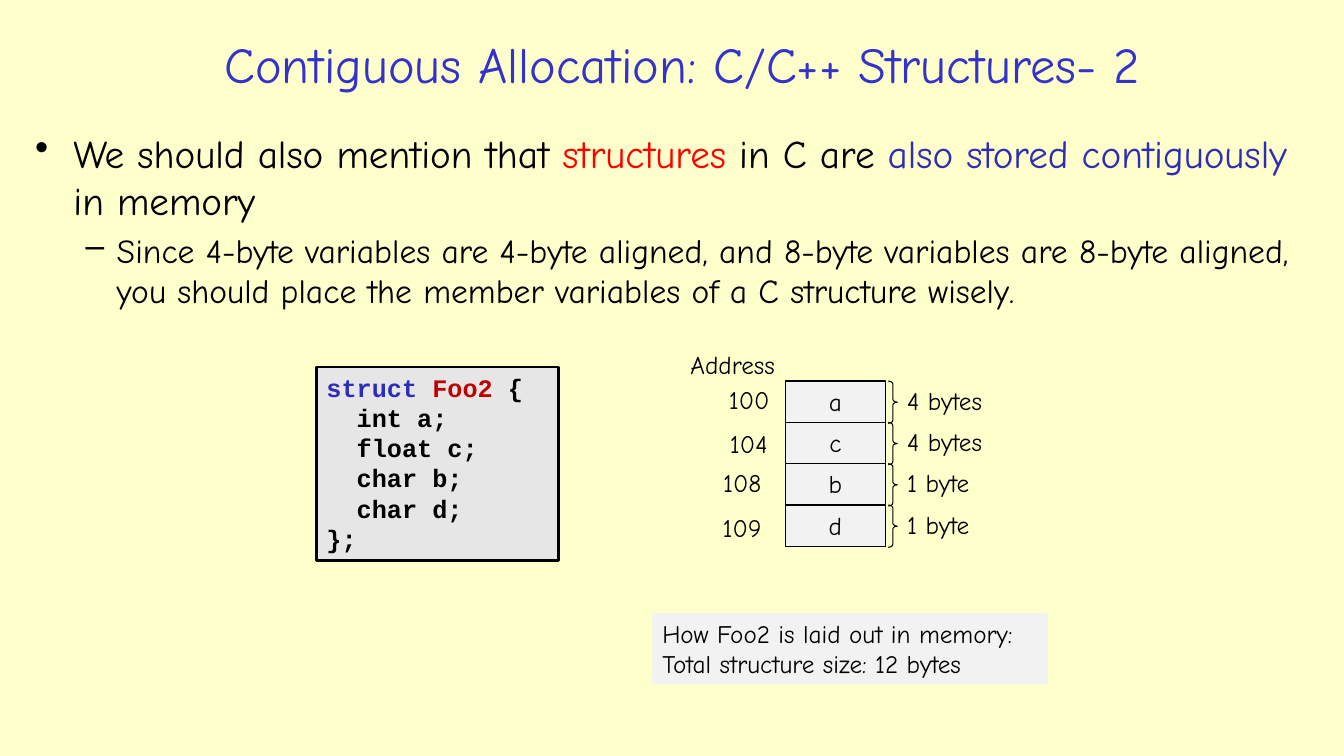
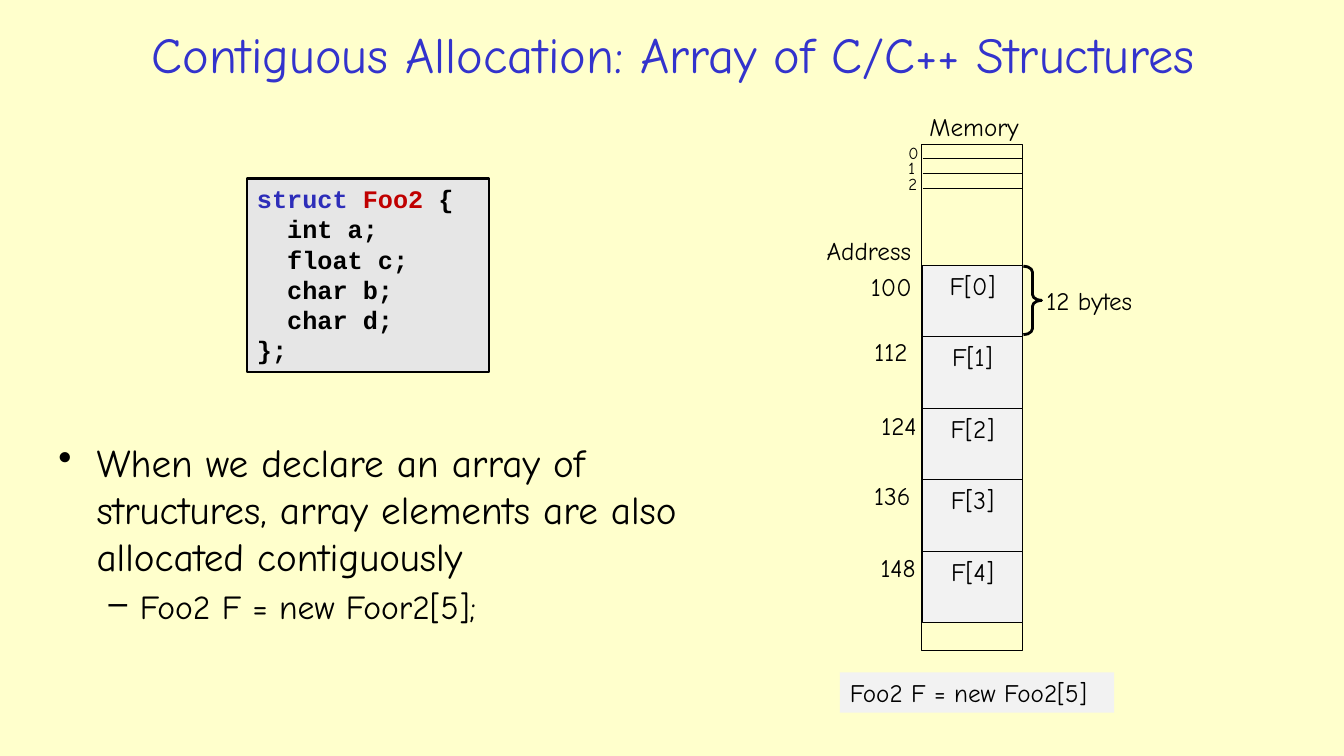
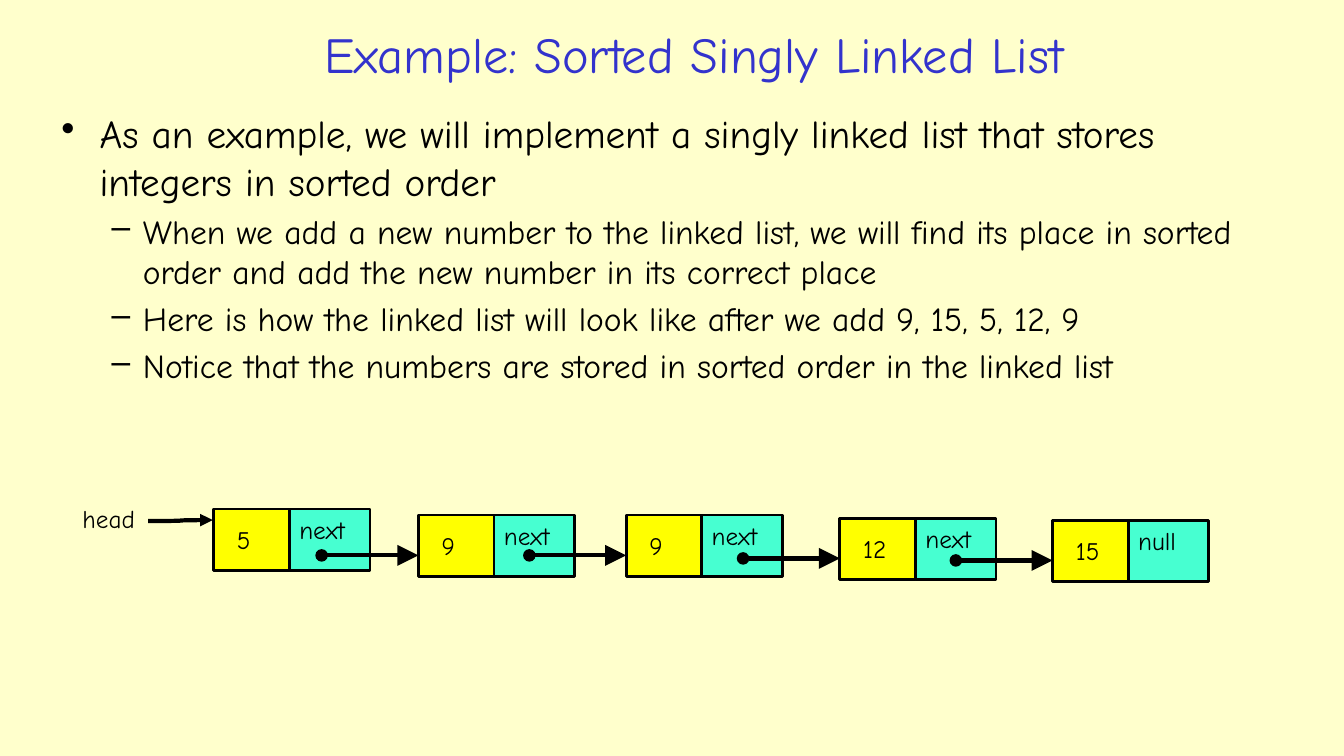
from lxml import etree
from pptx import Presentation
from pptx import util as u
from pptx.dml.color import RGBColor
from pptx.enum import shapes, text
from pptx.oxml import ns

COLORS = {
    "page": "FFFFCC", "title": "3333CC", "ink": "000000", "red": "FF0000",
    "blue": "2D2DB9", "crimson": "C00000", "code": "E6E6E6",
    "cell": "F2F2F2", "value": "FFFF00", "link": "47FFD1",
}
FOO2 = [
    [("struct ", "blue"), ("Foo2 ", "crimson"), ("{", "ink")],
    "  int a;", "  float c;", "  char b;", "  char d;", "};",
]
LEFT, CENTER, RIGHT = text.PP_ALIGN.LEFT, text.PP_ALIGN.CENTER, text.PP_ALIGN.RIGHT


def rgb(name):
    return RGBColor.from_string(COLORS[name])


class Deck:
    """The shared style and the slide being drawn."""
    body_font, code_font = "Comic Neue", "Courier New"
    # size, left margin, hanging indent and bullet of each outline level
    levels = [(28, 0.38, 0.38, "•"), (24, 0.81, 0.31, "–")]

    def __init__(self):
        self.prs = Presentation()
        self.prs.slide_width = u.Inches(13.33)
        self.prs.slide_height = u.Inches(7.5)
        self.slide = None

    def new_slide(self, title, left, top, width):
        self.slide = self.prs.slides.add_slide(self.prs.slide_layouts[6])
        self.slide.background.fill.solid()
        self.slide.background.fill.fore_color.rgb = rgb("page")
        frame = self.frame(left, top, width, 0.76)
        frame.vertical_anchor = text.MSO_ANCHOR.MIDDLE
        self.fill_text(frame.paragraphs[0], title, 36, "title", CENTER)

    def frame(self, left, top, width, height):
        box = self.slide.shapes.add_textbox(*map(u.Inches, (left, top, width, height)))
        box.text_frame.word_wrap = True
        return box.text_frame

    def fill_text(self, paragraph, content, size=18, color="ink", align=LEFT,
                  font=None, bold=False):
        """Content is a string or a list of (words, colour) pairs."""
        parts = [(content, color)] if isinstance(content, str) else content
        paragraph.alignment = align
        for words, part_color in parts:
            run = paragraph.add_run()
            run.text = words
            run.font.name = font or self.body_font
            run.font.size = u.Pt(size)
            run.font.bold = bold
            run.font.color.rgb = rgb(part_color)

    def lines(self, frame, rows, **style):
        for i, row in enumerate(rows):
            paragraph = frame.add_paragraph() if i else frame.paragraphs[0]
            self.fill_text(paragraph, row, **style)

    def label(self, words, left, top, width=1.2, size=18, align=LEFT):
        frame = self.frame(left, top, width, 0.4)
        if align == RIGHT:
            frame.margin_left = 0
        else:
            frame.margin_right = 0
        self.fill_text(frame.paragraphs[0], words, size, align=align)

    def address(self, words, right, top):
        self.label(words, right - 0.62, top, 0.62, align=RIGHT)

    def outline(self, left, top, width, height, rows):
        """Rows are (level, content) pairs."""
        frame = self.frame(left, top, width, height)
        for i, (level, content) in enumerate(rows):
            size, margin, hang, bullet = self.levels[level]
            paragraph = frame.add_paragraph() if i else frame.paragraphs[0]
            paragraph.level = level
            if i:
                paragraph.space_before = u.Pt(0.2 * size)
            props = paragraph._p.get_or_add_pPr()
            props.set("marL", str(u.Inches(margin)))
            props.set("indent", str(-u.Inches(hang)))
            etree.SubElement(props, ns.qn("a:buChar")).set("char", bullet)
            self.fill_text(paragraph, content, size)

    def shape(self, kind, left, top, width, height, fill=None, line=None):
        shape = self.slide.shapes.add_shape(
            kind, *map(u.Inches, (left, top, width, height)))
        shape.shadow.inherit = False
        if fill:
            shape.fill.solid()
            shape.fill.fore_color.rgb = rgb(fill)
        else:
            shape.fill.background()
        if line:
            shape.line.color.rgb = rgb("ink")
            shape.line.width = u.Pt(line)
        else:
            shape.line.fill.background()
        return shape

    def box(self, left, top, width, height, rows=(), fill=None, line=None,
            inset=(0.1, 0.05), **style):
        shape = self.shape(shapes.MSO_SHAPE.RECTANGLE, left, top, width, height,
                           fill, line)
        frame = shape.text_frame
        frame.word_wrap = True
        frame.vertical_anchor = text.MSO_ANCHOR.TOP
        frame.margin_left, frame.margin_top = map(u.Inches, inset)
        self.lines(frame, rows, **style)

    def code(self, left, top):
        self.box(left, top, 2.4, 1.92, FOO2, "code", 2, font=self.code_font, bold=True)

    def cell(self, words, left, top, height):
        self.box(left, top, 0.99, height, [words], "cell", 0.75, align=CENTER)

    def brace(self, left, top, width, height, line=0.75):
        brace = self.shape(shapes.MSO_SHAPE.RIGHT_BRACE, left, top, width, height,
                           line=line)
        brace.adjustments[0] = 0.33
        brace.adjustments[1] = 0.5

    def line(self, x1, y1, x2, y2, width=0.75, kind=shapes.MSO_CONNECTOR.STRAIGHT,
             ends=()):
        """Ends are (tag, type, size) triples, headEnd first."""
        line = self.slide.shapes.add_connector(kind, *map(u.Inches, (x1, y1, x2, y2)))
        line.line.color.rgb = rgb("ink")
        line.line.width = u.Pt(width)
        for tag, end, size in ends:
            etree.SubElement(line.line._get_or_add_ln(), ns.qn("a:" + tag),
                             type=end, w=size, len=size)
        etree.SubElement(line._element.spPr, ns.qn("a:effectLst"))

    def node(self, value, pointer, left, top):
        self.box(left + 0.75, top, 0.8, 0.61, [pointer], "link", 2)
        self.box(left, top, 0.75, 0.61, [value], "value", 2, inset=(0.23, 0.15))


def structure_slide(deck):
    deck.new_slide("Contiguous Allocation: C/C++ Structures- 2", 0.54, 0.25, 12.45)
    deck.outline(0.25, 1.23, 12.96, 2.36, [
        (0, [("We should also mention that ", "ink"), ("structures", "red"),
             (" in C are ", "ink"), ("also stored contiguously", "blue"),
             (" in memory", "ink")]),
        (1, "Since 4-byte variables are 4-byte aligned, and 8-byte variables are "
            "8-byte aligned, you should place the member variables of a C "
            "structure wisely."),
    ])
    deck.code(3.14, 3.64)

    # Memory layout: member, address, address right edge and top, size
    deck.label("Address", 6.75, 3.42)
    members = [("a", "100", 7.73, 3.76, "4 bytes"), ("c", "104", 7.71, 4.2, "4 bytes"),
               ("b", "108", 7.65, 4.59, "1 byte"), ("d", "109", 7.65, 5.03, "1 byte")]
    height = 0.41
    for i, (member, address, right, address_top, size) in enumerate(members):
        top = 3.78 + i * height
        deck.cell(member, 7.79, top, height)
        deck.address(address, right, address_top)
        deck.brace(8.81, top, 0.09, 0.42)
        deck.label(size, 8.9, top - 0.01)
    deck.box(6.47, 6.08, 3.92, 0.71, ["How Foo2 is laid out in memory:",
                                      "Total structure size: 12 bytes"], "cell")


def array_slide(deck):
    deck.new_slide("Contiguous Allocation: Array of C/C++ Structures",
                   0.33, 0.15, 12.69)
    deck.outline(0.48, 4.3, 7.14, 2.58, [
        (0, "When we declare an array of structures, array elements are also "
            "allocated contiguously"),
        (1, "Foo2 F = new Foor2[5];"),
    ])
    deck.code(2.45, 1.77)

    # Memory column with its first bytes
    deck.box(9.14, 1.43, 1, 5.02, line=0.75)
    deck.label("Memory", 9.12, 1.06)
    for byte in range(3):
        top = 1.57 + byte * 0.15
        deck.line(9.15, top, 10.15, top)
        deck.label(str(byte), 8.91, top - 0.2, 0.31, 12)

    # Array elements: address, its right edge and top
    deck.label("Address", 8.1, 2.29)
    elements = [("100", 9.14, 2.64), ("112", 9.1, 3.29), ("124", 9.19, 4.02),
                ("136", 9.13, 4.72), ("148", 9.18, 5.43)]
    height = 0.71
    for i, (address, right, address_top) in enumerate(elements):
        deck.cell(f"F[{i}]", 9.15, 2.63 + i * height, height)
        deck.address(address, right, address_top)
    deck.brace(10.15, 2.64, 0.18, 0.68, 2)
    deck.label("12 bytes", 10.28, 2.78)
    deck.box(8.33, 6.67, 2.72, 0.4, ["Foo2 F = new Foo2[5]"], "cell")


def linked_list_slide(deck):
    deck.new_slide("Example: Sorted Singly Linked List", 2.39, 0.15, 8.99)
    deck.outline(0.51, 1.04, 12.33, 3.24, [
        (0, "As an example, we will implement a singly linked list that stores "
            "integers in sorted order"),
        (1, "When we add a new number to the linked list, we will find its place "
            "in sorted order and add the new number in its correct place"),
        (1, "Here is how the linked list will look like after we add 9, 15, 5, 12, 9"),
        (1, "Notice that the numbers are stored in sorted order in the linked list"),
    ])

    # Nodes, then the links that end at each following node
    nodes = [("5", 2.12, 5.05), ("9", 4.15, 5.11), ("9", 6.21, 5.11),
             ("12", 8.33, 5.14), ("15", 10.44, 5.16)]
    for i, (value, left, top) in enumerate(nodes):
        deck.node(value, "next" if i < len(nodes) - 1 else "null", left, top)
    for _, left, top in nodes[1:]:
        deck.line(left - 0.96, top + 0.4, left, top + 0.4, 3,
                  ends=[("headEnd", "oval", "med"), ("tailEnd", "triangle", "lg")])

    # Head pointer
    deck.label("head", 0.72, 4.94, 0.76)
    deck.line(1.47, 5.17, 2.11, 5.16, 3, shapes.MSO_CONNECTOR.CURVE,
              [("tailEnd", "triangle", "med")])


def main():
    deck = Deck()
    structure_slide(deck)
    array_slide(deck)
    linked_list_slide(deck)
    deck.prs.save("out.pptx")


if __name__ == "__main__":
    main()
